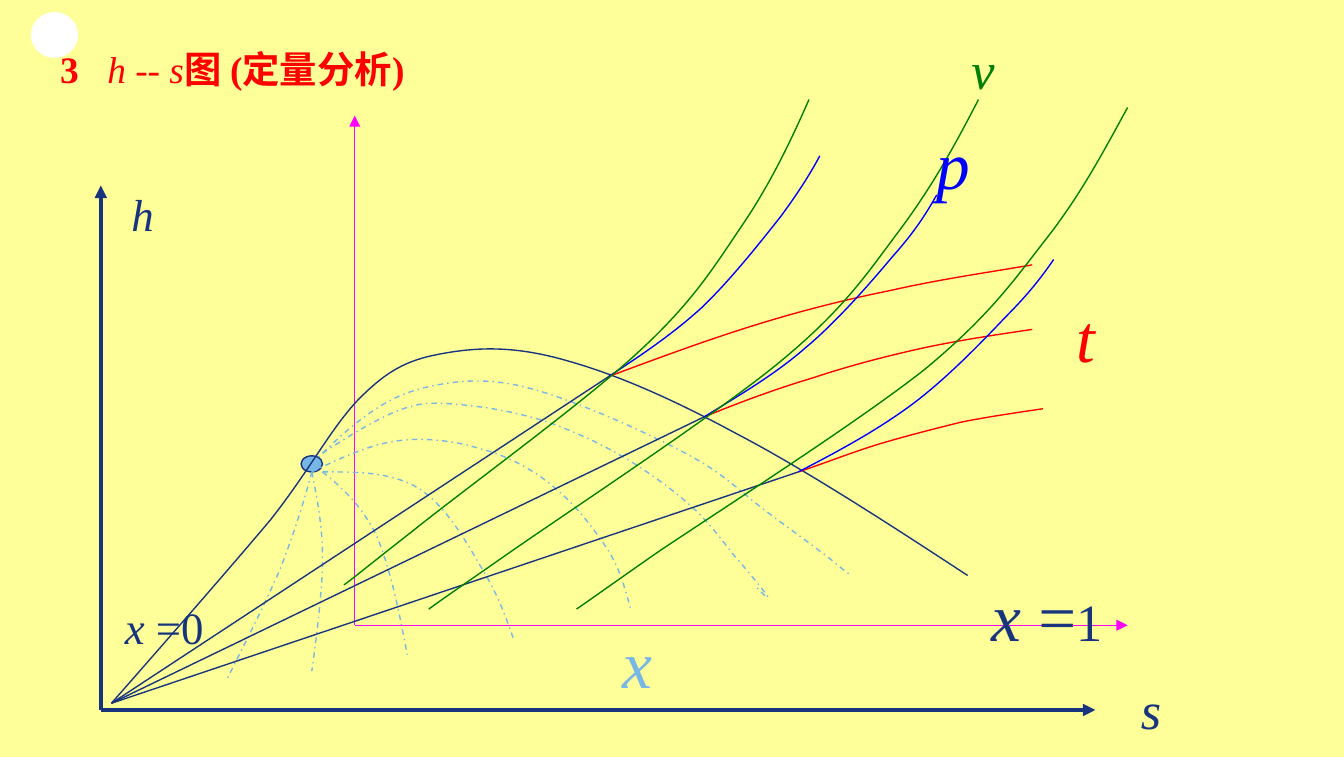
import pptx
import pptx.dml.color
import pptx.enum.dml
import pptx.enum.shapes
import pptx.enum.text
import pptx.oxml.ns
import pptx.util
from lxml import etree

PX = 9144  # EMU per px, 100 px to the inch
FONT = "Times New Roman"
HEX = {"back": "FFFF99", "white": "FFFFFF", "navy": "17347D", "sky": "77B7E7",
       "pink": "FF00FF", "red": "FF0000", "blue": "0000FF", "green": "008000"}

# Title runs: text, bold, italic
TITLE = [("3\t", True, False), ("h -- s", False, True), ("图 (定量分析)", True, False)]

# Labels: box, colour, wrap, runs of (text, size, italic)
LABELS = [
    ((88, 134, 37, 50), "navy", False, [("h", 24, True)]),
    ((839, 499, 35, 57), "navy", False, [("s", 28, True)]),
    ((728, 422, 102, 70), "navy", False,
     [("x ", 36, True), ("=", 36, False), ("1", 28, False)]),
    ((791, 215, 34, 70), "red", False, [("t", 36, True)]),
    ((687, 86, 45, 70), "blue", False, [("p", 36, True)]),
    ((453, 457, 79, 70), "sky", True, [("x", 36, True)]),
    ((83, 441, 79, 50), "navy", False, [("x ", 24, True), ("=0", 24, False)]),
    ((713, 23, 37, 57), "green", False, [("v", 28, True)]),
]

# Axes: corner, top of the upright, right end of the level one
INNER = ((264, 465), 86, 839)
OUTER = ((75, 528), 138, 815)

# Straight lines through the wet region
ZERO = (83, 523)
DRY = [(453, 280), (524, 310), (594, 351)]

# Curves: a start point, then three Bezier points for each segment
QUALITY = [
    [(240, 337), (254, 328), (268, 319), (280, 313), (291, 307), (301, 303), (311, 301),
     (321, 299), (331, 300), (343, 301), (354, 302), (369, 304), (382, 307),
     (395, 310), (407, 313), (421, 319), (436, 325), (453, 333), (469, 343),
     (484, 352), (503, 366), (516, 378), (529, 390), (538, 403), (547, 414),
     (556, 424), (568, 439), (571, 443), (573, 447), (568, 442), (563, 437)],
    [(232, 345), (248, 329), (264, 314), (280, 304), (295, 294), (310, 289), (327, 286),
     (344, 283), (361, 282), (382, 286), (403, 290), (429, 300), (453, 310),
     (476, 320), (504, 333), (524, 345), (543, 357), (555, 369), (571, 381),
     (587, 393), (608, 408), (618, 416), (628, 424), (631, 427), (634, 428)],
    [(232, 351), (253, 341), (274, 331), (295, 328), (316, 325), (339, 328), (358, 334),
     (378, 339), (398, 350), (413, 363), (429, 376), (444, 396), (453, 410),
     (462, 425), (465, 438), (469, 452)],
    [(232, 351), (226, 374), (219, 396), (209, 422), (198, 448), (176, 491), (169, 505)],
    [(232, 351), (236, 371), (240, 391), (240, 416), (240, 441), (234, 485), (232, 499)],
    [(240, 351), (255, 363), (269, 376), (280, 398), (290, 421), (297, 454), (303, 487)],
    [(240, 351), (266, 351), (291, 351), (311, 363), (331, 375), (347, 403), (358, 422),
     (370, 441), (376, 458), (382, 475)],
]
DOME = [[ZERO, (126, 474), (169, 425), (201, 387), (232, 348), (249, 313), (272, 292),
         (294, 271), (310, 266), (335, 262), (360, 258), (386, 258), (421, 268),
         (457, 278), (497, 295), (547, 322), (597, 348), (659, 388), (720, 428)]]
HEAT = [
    [DRY[1], (551, 299), (578, 289), (605, 281), (632, 272), (659, 265), (686, 259),
     (714, 253), (741, 249), (768, 245)],
    [DRY[2], (615, 344), (635, 336), (655, 330), (675, 324), (695, 319), (715, 314),
     (735, 310), (756, 307), (776, 304)],
    [DRY[0], (488, 267), (523, 254), (558, 243), (593, 232), (628, 223), (663, 216),
     (698, 208), (733, 203), (768, 197)],
]
PRESS = [
    [DRY[0], (476, 265), (500, 249), (522, 229), (543, 209), (566, 180), (581, 161),
     (595, 142), (603, 129), (610, 116)],
    [DRY[1], (550, 294), (576, 279), (599, 259), (623, 239), (648, 210), (664, 191),
     (681, 172), (689, 159), (697, 145)],
    [DRY[2], (623, 336), (651, 321), (677, 302), (703, 283), (730, 255), (748, 236),
     (766, 218), (775, 206), (784, 193)],
]
VOLUME = [
    [(602, 74), (588, 106), (573, 137), (552, 168), (531, 199), (516, 224), (476, 261),
     (435, 299), (343, 366), (307, 395), (270, 424), (263, 430), (256, 435)],
    [(728, 74), (711, 107), (693, 140), (668, 173), (644, 205), (627, 231), (578, 271),
     (530, 310), (422, 381), (379, 411), (336, 441), (327, 447), (319, 453)],
    [(839, 80), (821, 113), (804, 145), (779, 177), (754, 209), (737, 234), (689, 274),
     (640, 313), (532, 382), (489, 411), (446, 441), (438, 447), (429, 453)],
]

deck = pptx.Presentation()
deck.slide_width, deck.slide_height = 1000 * PX, 563 * PX
slide = deck.slides.add_slide(deck.slide_layouts[6])
shapes = slide.shapes
qn = pptx.oxml.ns.qn


def paint(fill, tint):
    fill.solid()
    fill.fore_color.rgb = pptx.dml.color.RGBColor.from_string(HEX[tint])


def stroke(line, tint, wide=0.75):
    paint(line.fill, tint)
    line.width = pptx.util.Pt(wide)


def write(par, text, size, tint, bold=False, slant=False):
    run = par.add_run()
    run.text = text
    font = run.font
    font.name, font.size = FONT, pptx.util.Pt(size)
    font.bold, font.italic = bold, slant
    paint(font.fill, tint)


def box(rect, wrap):
    frame = shapes.add_textbox(*(n * PX for n in rect)).text_frame
    frame.word_wrap = wrap
    return frame


def oval(rect, tint, edge=None):
    dot = shapes.add_shape(pptx.enum.shapes.MSO_SHAPE.OVAL, *(n * PX for n in rect))
    dot.shadow.inherit = False
    paint(dot.fill, tint)
    if edge:
        stroke(dot.line, edge)
    else:
        dot.line.fill.background()


def rule(start, end, tint, wide=0.75, arrow=False):
    line = shapes.add_connector(pptx.enum.shapes.MSO_CONNECTOR.STRAIGHT,
                                *(n * PX for n in start + end))
    stroke(line.line, tint, wide)
    props = line._element.spPr
    if arrow:
        etree.SubElement(props.find(qn("a:ln")), qn("a:tailEnd"), type="triangle")
    etree.SubElement(props, qn("a:effectLst"))


def axes(frame, tint, wide):
    base, top, right = frame
    rule(base, (base[0], top), tint, wide, True)
    rule(base, (right, base[1]), tint, wide, True)


def curve(points, tint, dash=False):
    pen = shapes.build_freeform(*points[0], scale=PX)
    pen.add_line_segments(points[1:], close=False)
    shape = pen.convert_to_shape()
    shape.shadow.inherit = False
    shape.fill.background()
    stroke(shape.line, tint)
    if dash:
        shape.line.dash_style = pptx.enum.dml.MSO_LINE.DASH_DOT
    # Join every three line steps into one cubic segment
    steps = list(shape._element.iter(qn("a:lnTo")))
    track = steps[0].getparent()
    for i in range(0, len(steps), 3):
        cubic = etree.SubElement(track, qn("a:cubicBezTo"))
        for step in steps[i:i + 3]:
            cubic.append(step[0])
            track.remove(step)


# Background, corner dot and title
paint(slide.background.fill, "back")
oval((23, 9, 35, 34), "white")
head = box((35, 21, 850, 60), True)
head.vertical_anchor = pptx.enum.text.MSO_ANCHOR.MIDDLE
par = head.paragraphs[0]
hang = par._p.get_or_add_pPr()
hang.set("marL", str(35 * PX))
hang.set("indent", str(-35 * PX))
for text, bold, slant in TITLE:
    write(par, text, 20, "red", bold, slant)

# Axes, critical point and quality lines
axes(INNER, "pink", 0.75)
oval((224, 339, 16, 12), "sky", "navy")
for points in QUALITY:
    curve(points, "sky", True)
axes(OUTER, "navy", 2.25)

# Saturation dome, wet lines and families of curves
for end in DRY:
    rule(ZERO, end, "navy")
for family, tint in [(DOME, "navy"), (HEAT, "red"), (PRESS, "blue"), (VOLUME, "green")]:
    for points in family:
        curve(points, tint)

# Labels
for rect, tint, wrap, runs in LABELS:
    frame = box(rect, wrap)
    frame.auto_size = pptx.enum.text.MSO_AUTO_SIZE.SHAPE_TO_FIT_TEXT
    for text, size, slant in runs:
        write(frame.paragraphs[0], text, size, tint, slant=slant)

deck.save("out.pptx")
